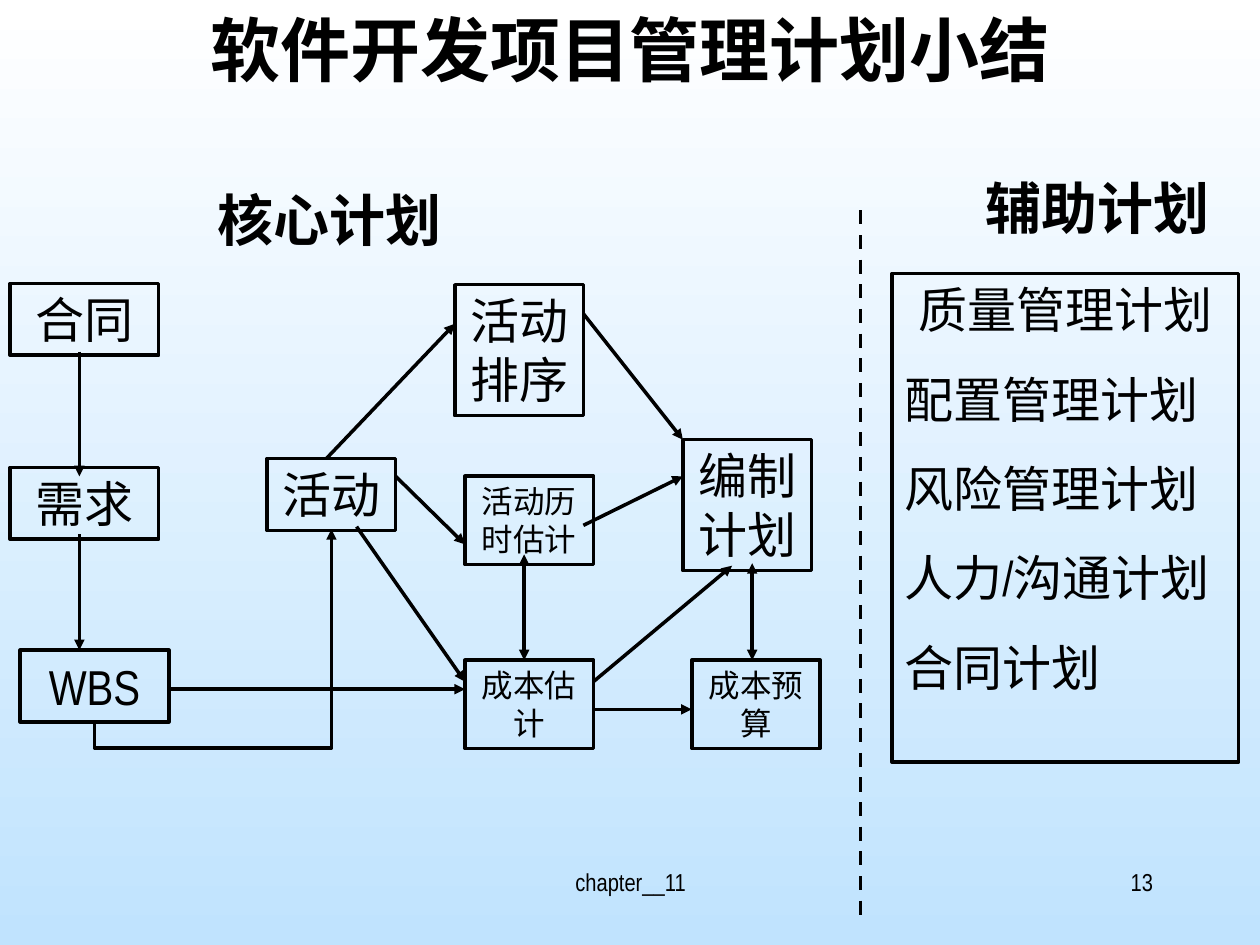
import pptx
import pptx.dml.color
import pptx.enum.dml
import pptx.enum.shapes
import pptx.enum.text
import pptx.oxml
import pptx.oxml.ns
import pptx.util
from pptx.util import Inches

COLORS = {"ink": "000000", "sky_top": "FFFFFF", "sky_bottom": "C0E3FE"}
LATIN = "Arial Narrow"
CJK = "Noto Sans CJK SC"
ALIGN = pptx.enum.text.PP_ALIGN


def rgb(name):
    """Return the named colour."""
    return pptx.dml.color.RGBColor.from_string(COLORS[name])


def add_xml(parent, tag, **attributes):
    """Append a DrawingML element and return it."""
    child = pptx.oxml.parse_xml(f"<a:{tag} {pptx.oxml.ns.nsdecls('a')}/>")
    for key, value in attributes.items():
        child.set(key, value)
    parent.append(child)
    return child


def add_run(paragraph, text, size, bold=False, font=LATIN):
    """Add one run of text."""
    run = paragraph.add_run()
    run.text = text
    run.font.size = pptx.util.Pt(size)
    run.font.bold = bold
    run.font.color.rgb = rgb("ink")
    run.font.name = font
    add_xml(run.font._element, "ea", typeface=font)


def prepare_frame(shape):
    """Give a shape a wrapping, top-anchored text frame."""
    frame = shape.text_frame
    frame.word_wrap = True
    frame.vertical_anchor = pptx.enum.text.MSO_ANCHOR.TOP
    return frame


def add_label(slide, box, runs, align=ALIGN.CENTER):
    """Add a one-paragraph text box."""
    label = slide.shapes.add_textbox(*map(Inches, box))
    paragraph = prepare_frame(label).paragraphs[0]
    paragraph.alignment = align
    for run in runs:
        add_run(paragraph, *run)


def add_node(slide, box, lines, size):
    """Add an outlined box whose first line is centred."""
    node = slide.shapes.add_shape(
        pptx.enum.shapes.MSO_SHAPE.RECTANGLE, *map(Inches, box))
    node.shadow.inherit = False
    node.fill.background()
    node.line.color.rgb = rgb("ink")
    node.line.width = pptx.util.Pt(2)
    frame = prepare_frame(node)
    for index, line in enumerate(lines):
        paragraph = frame.add_paragraph() if index else frame.paragraphs[0]
        paragraph.alignment = ALIGN.LEFT if index else ALIGN.CENTER
        if index:
            paragraph.space_before = pptx.util.Pt(17.5)
        add_run(paragraph, line, size)


def add_line(slide, ends, heads=(), elbow=False):
    """Add a connector with the given arrowheads."""
    kinds = pptx.enum.shapes.MSO_CONNECTOR
    line = slide.shapes.add_connector(
        kinds.ELBOW if elbow else kinds.STRAIGHT, *map(Inches, ends))
    line.line.color.rgb = rgb("ink")
    line.line.width = pptx.util.Pt(2)
    outline = line.line._get_or_add_ln()
    for head in heads:
        add_xml(outline, head, type="triangle")
    add_xml(line._element.spPr, "effectLst")
    return line


def add_loop_back(slide, ends):
    """Add the elbow arrow that dips below its start before rising."""
    loop = add_line(slide, ends, ["tailEnd"], elbow=True)
    properties = loop._element.spPr
    properties.find(pptx.oxml.ns.qn("a:xfrm")).set("rot", "5400000")
    geometry = properties.find(pptx.oxml.ns.qn("a:prstGeom"))
    for old in list(geometry):
        geometry.remove(old)
    adjustments = add_xml(geometry, "avLst")
    add_xml(adjustments, "gd", name="adj1", fmla="val -14200")


def paint_background(slide):
    """Fill the slide from white down to light blue."""
    fill = slide.background.fill
    fill.gradient()
    fill.gradient_angle = 270
    for stop, position, name in zip(fill.gradient_stops, (0, 1), ("sky_top", "sky_bottom")):
        stop.position = position
        stop.color.rgb = rgb(name)


def add_core_plan(slide, left, top):
    """Draw the core plan flow from contract to budget."""
    add_label(slide, (left + 1.33, top + 0.02, 2.58, 0.64), [("核心计划", 32, True)])
    nodes = [
        ("合同", 0.08, 0.85, 1.18, 0.57, 28),
        ("需求", 0.08, 2.31, 1.18, 0.57, 28),
        ("WBS", 0.16, 3.76, 1.18, 0.57, 28),
        ("活动", 2.12, 2.24, 1.02, 0.57, 28),
        ("活动排序", 3.61, 0.86, 1.02, 1.04, 28),
        ("活动历时估计", 3.69, 2.38, 1.02, 0.7, 18),
        ("编制计划", 5.42, 2.09, 1.02, 1.04, 28),
        ("成本估计", 3.69, 3.84, 1.02, 0.7, 18),
        ("成本预算", 5.49, 3.84, 1.02, 0.7, 18),
    ]
    for name, x, y, width, height, size in nodes:
        add_node(slide, (left + x, top + y, width, height), [name], size)
    one_way = [
        (0.63, 1.39, 0.63, 2.38),
        (0.63, 2.84, 0.63, 3.76),
        (2.59, 2.24, 3.61, 1.17),
        (2.83, 2.78, 3.69, 4.01),
        (3.14, 2.38, 3.69, 2.92),
        (4.63, 1.09, 5.42, 2.09),
        (4.63, 2.77, 5.42, 2.38),
        (4.71, 4.01, 5.81, 3.09),
        (4.71, 4.23, 5.49, 4.23),
        (1.34, 4.07, 3.69, 4.07),
    ]
    two_way = [(4.16, 3.84, 4.16, 3), (5.97, 3.84, 5.97, 3.07)]
    for arrows, heads in ((one_way, ["tailEnd"]), (two_way, ["headEnd", "tailEnd"])):
        for x1, y1, x2, y2 in arrows:
            add_line(slide, (left + x1, top + y1, left + x2, top + y2), heads)
    add_loop_back(slide, (left + 2.45, top + 4.5, left + 0.93, top + 2.62))


def add_support_plan(slide, left, top):
    """Draw the list of supporting plans."""
    add_label(slide, (left + 0.34, top, 2.58, 0.64), [("辅助计划", 32, True)])
    plans = ["质量管理计划", "配置管理计划", "风险管理计划", "人力/沟通计划", "合同计划"]
    add_node(slide, (left, top + 0.84, 2.75, 3.88), plans, 28)


def add_footer(slide, left, top):
    """Place the chapter name and page number."""
    add_label(slide, (left, top, 3.17, 0.5), [("chapter__11", 14)])
    add_label(slide, (left + 3.75, top, 2.08, 0.5), [("13", 14)], ALIGN.RIGHT)


def main():
    """Build and save the slide."""
    deck = pptx.Presentation()
    deck.slide_width, deck.slide_height = Inches(10), Inches(7.5)
    slide = deck.slides.add_slide(deck.slide_layouts[6])
    paint_background(slide)
    add_label(slide, (0.75, 0, 8.5, 1.25),
              [("软件开发项目管理计划", 40, True), ("小结", 40, True, CJK)])
    add_core_plan(slide, 0, 1.4)
    divider = add_line(slide, (6.83, 1.67, 6.83, 7.33))
    divider.line.dash_style = pptx.enum.dml.MSO_LINE.DASH
    add_support_plan(slide, 7.08, 1.33)
    add_footer(slide, 3.42, 6.83)
    deck.save("out.pptx")


if __name__ == "__main__":
    main()
